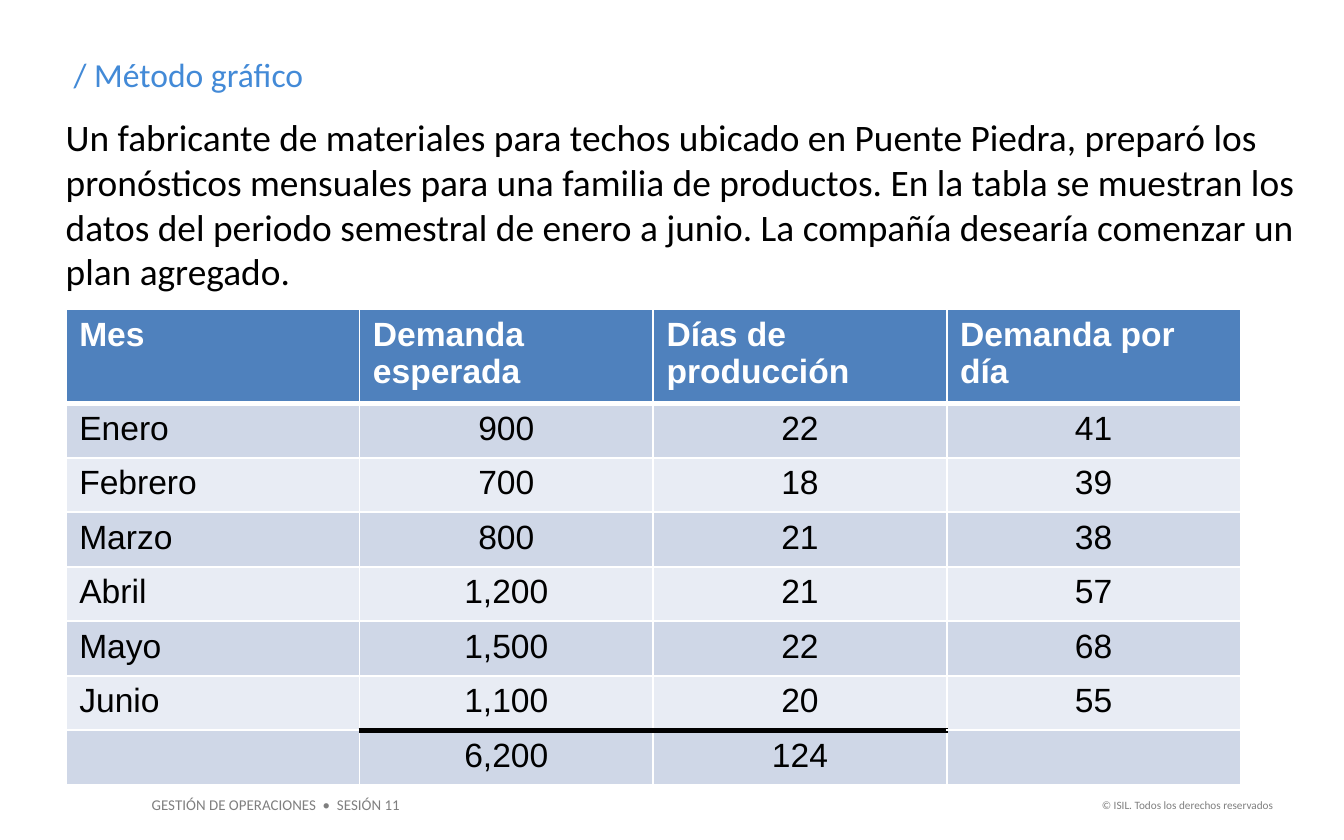
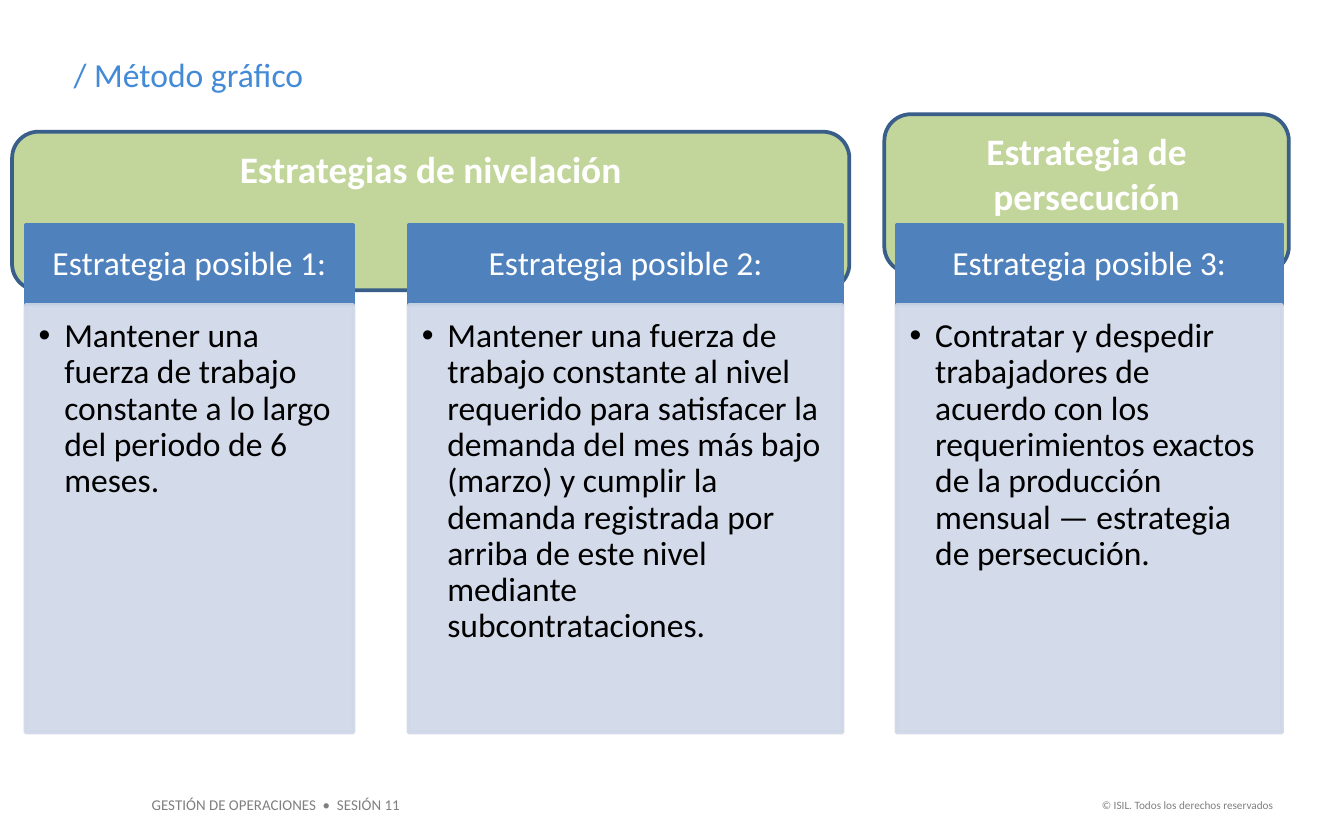
from lxml import etree
from pptx import Presentation
from pptx.dml.color import RGBColor
from pptx.enum.shapes import MSO_SHAPE as SHAPE
from pptx.enum.text import MSO_ANCHOR as ANCHOR, PP_ALIGN as ALIGN
from pptx.oxml.ns import qn
from pptx.util import Inches, Pt

BLUE, PALE, PALER, GREEN, NAVY = "4F81BD", "CFD7E7", "E8ECF4", "C2D59B", "395E89"
TITLE, GRAY, WHITE, BLACK = "438AD7", "7F7F7F", "FFFFFF", "000000"
rgb = RGBColor.from_string


def write(tf, text, size, color, font="Calibri", bold=False, align=ALIGN.LEFT):
    """Fill a text frame with one formatted paragraph and return it."""
    tf.text = text
    tf.word_wrap = True
    p = tf.paragraphs[0]
    p.alignment = align
    for r in p.runs:
        r.font.name, r.font.size, r.font.bold = font, Pt(size), bold
        r.font.color.rgb = rgb(color)
    return p


def add_box(sl, kind, x, y, w, h, fill, line):
    sp = sl.shapes.add_shape(kind, Inches(x), Inches(y), Inches(w), Inches(h))
    sp.shadow.inherit = False
    sp.fill.solid()
    sp.fill.fore_color.rgb = rgb(fill)
    sp.line.color.rgb = rgb(line)
    sp.line.width = Pt(2)
    sp.text_frame.vertical_anchor = ANCHOR.TOP
    return sp


prs = Presentation()
prs.slide_width, prs.slide_height = Inches(10), Inches(6.25)

# Footers and title shared by both slides, then the intro of the first one
common = [
    (1.03, 5.87, 2.05, 0.24, "GESTIÓN DE OPERACIONES  •  SESIÓN 11", 8, GRAY, ALIGN.LEFT),
    (8.03, 5.89, 1.54, 0.2, "© ISIL. Todos los derechos reservados", 6, GRAY, ALIGN.RIGHT),
    (0.45, 0.35, 7.88, 0.4, "/ Método gráfico", 18, TITLE, ALIGN.LEFT),
]
intro = (0.39, 0.8, 9.61, 1.45,
         "Un fabricante de materiales para techos ubicado en Puente Piedra, preparó los "
         "pronósticos mensuales para una familia de productos. En la tabla se muestran los "
         "datos del periodo semestral de enero a junio. La compañía desearía comenzar un "
         "plan agregado.", 20, BLACK, ALIGN.LEFT)
slides = []
for texts in (common + [intro], common):
    sl = prs.slides.add_slide(prs.slide_layouts[6])
    slides.append(sl)
    for x, y, w, h, text, size, color, align in texts:
        sp = sl.shapes.add_textbox(Inches(x), Inches(y), Inches(w), Inches(h))
        write(sp.text_frame, text, size, color, align=align)
demand_slide, strategy_slide = slides

# Slide 1: monthly demand table
rows = [
    ("Mes", "Demanda esperada", "Días de producción", "Demanda por día"),
    ("Enero", "900", "22", "41"),
    ("Febrero", "700", "18", "39"),
    ("Marzo", "800", "21", "38"),
    ("Abril", "1,200", "21", "57"),
    ("Mayo", "1,500", "22", "68"),
    ("Junio", "1,100", "20", "55"),
    ("", "6,200", "124", ""),
]
total = len(rows) - 1
table = demand_slide.shapes.add_table(len(rows), 4, Inches(0.49), Inches(2.3),
                                      Inches(8.74), Pt(29.2 * len(rows))).table
for col in table.columns:
    col.width = Inches(2.185)
for i, values in enumerate(rows):
    table.rows[i].height = Pt(29.2)
    for j, value in enumerate(values):
        cell = table.cell(i, j)
        header = i == 0
        write(cell.text_frame, value, 18, WHITE if header else BLACK, "Arial", header,
              ALIGN.LEFT if header or j == 0 else ALIGN.CENTER)
        borders = {side: (WHITE, 1) for side in ("lnL", "lnR", "lnT", "lnB")}
        if i <= 1:
            borders["lnT" if i else "lnB"] = (WHITE, 3)
        if i >= total - 1 and j in (1, 2):
            borders["lnT" if i == total else "lnB"] = (BLACK, 3)
        tcPr = cell._tc.get_or_add_tcPr()
        for side, (color, width) in borders.items():
            ln = etree.SubElement(tcPr, qn(f"a:{side}"), w=str(Pt(width)))
            solid = etree.SubElement(ln, qn("a:solidFill"))
            etree.SubElement(solid, qn("a:srgbClr"), val=color)
        cell.fill.solid()
        cell.fill.fore_color.rgb = rgb(BLUE if header else PALE if i % 2 else PALER)

# Slide 2: strategy families behind the strategy columns
for x, y, w, name in [(6.58, 0.85, 3.01, "Estrategia de persecución"),
                      (0.09, 0.98, 6.23, "Estrategias de nivelación")]:
    family = add_box(strategy_slide, SHAPE.ROUNDED_RECTANGLE, x, y, w, 1.18, GREEN, NAVY)
    write(family.text_frame, name, 20, WHITE, bold=True, align=ALIGN.CENTER)

strategies = [
    (0.19, 2.44, "Mantener una fuerza de trabajo constante a lo largo del periodo de 6 meses."),
    (3.04, 3.23, "Mantener una fuerza de trabajo constante al nivel requerido para satisfacer la "
                 "demanda del mes más bajo (marzo) y cumplir la demanda registrada por arriba de "
                 "este nivel mediante subcontrataciones."),
    (6.67, 2.87, "Contratar y despedir trabajadores de acuerdo con los requerimientos exactos de "
                 "la producción mensual — estrategia de persecución."),
]
for n, (x, w, description) in enumerate(strategies, 1):
    head = add_box(strategy_slide, SHAPE.RECTANGLE, x, 1.67, w, 0.6, BLUE, BLUE)
    tf = head.text_frame
    tf.vertical_anchor = ANCHOR.MIDDLE
    tf.margin_left = tf.margin_right = Inches(0.14)
    tf.margin_top = tf.margin_bottom = Inches(0.08)
    p = write(tf, f"Estrategia posible {n}:", 18, WHITE, align=ALIGN.CENTER)
    p.line_spacing = 0.9

    body = add_box(strategy_slide, SHAPE.RECTANGLE, x, 2.27, w, 3.18, PALE, PALE)
    for color in body._element.spPr.iter(qn("a:srgbClr")):
        etree.SubElement(color, qn("a:alpha"), val="90000")
    tf = body.text_frame
    tf.margin_left = tf.margin_top = Inches(0.1)
    tf.margin_right, tf.margin_bottom = Inches(0.14), Inches(0.16)
    p = write(tf, description, 18, BLACK)
    p.line_spacing = 0.9
    pPr = p._p.get_or_add_pPr()
    pPr.set("marL", str(Inches(0.19)))
    pPr.set("indent", str(-Inches(0.19)))
    etree.SubElement(pPr, qn("a:buFont"), typeface="Arial")
    etree.SubElement(pPr, qn("a:buChar"), char="•")

prs.save("out.pptx")
